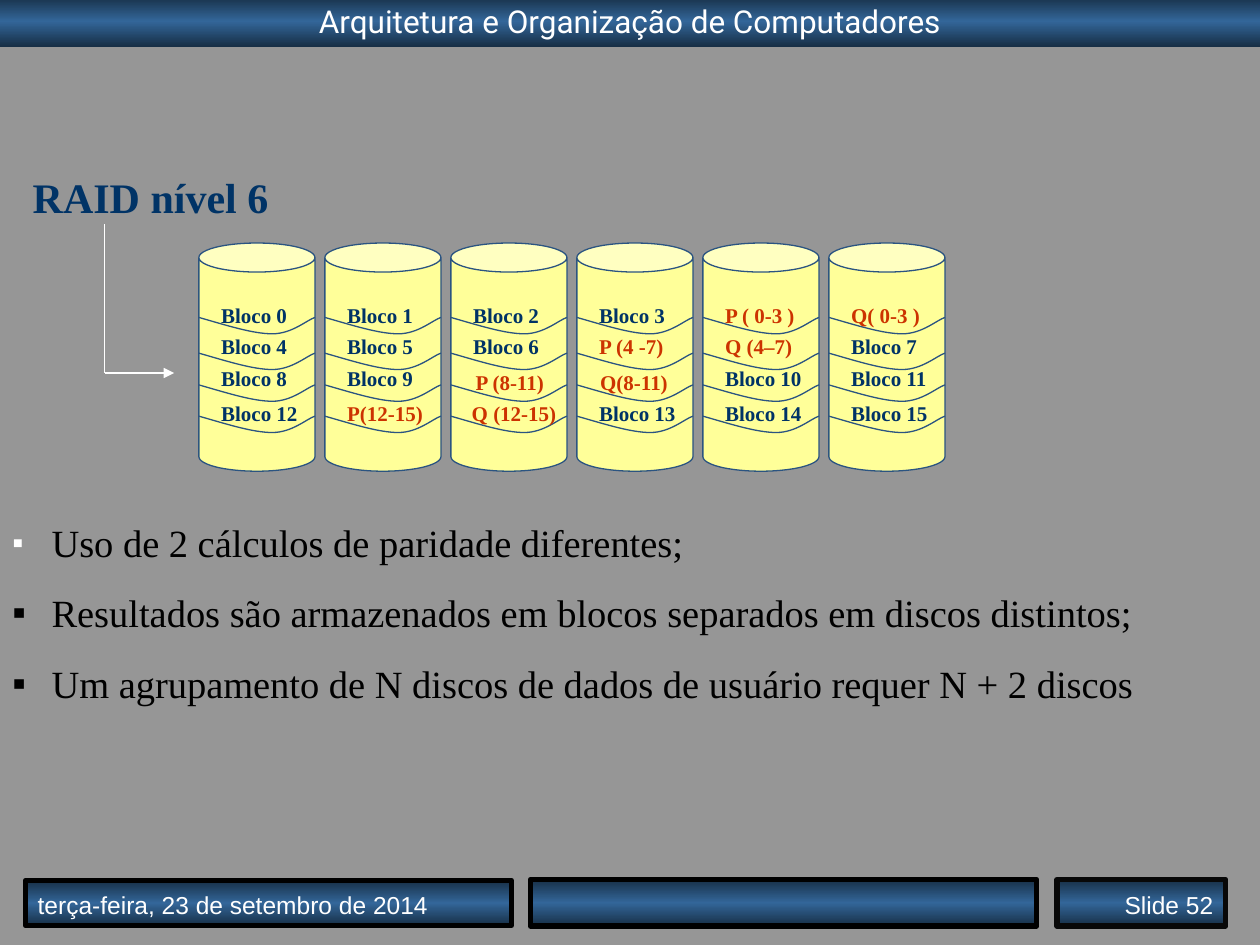
import copy

import pptx
import pptx.dml.color
import pptx.enum.shapes
import pptx.enum.text
import pptx.util
from lxml import etree
from pptx.oxml.ns import qn
from pptx.util import Cm, Pt

COLORS = {
    "background": "969696",
    "bar_edge": "172F46",
    "bar_middle": "336699",
    "black": "000000",
    "slide_number_border": "080808",
    "white": "FFFFFF",
    "disk": "FFFF99",
    "disk_line": "2B5481",
    "data": "003366",
    "parity": "CC3300",
}
SERIF = "Times New Roman"
ALIGN = pptx.enum.text.PP_ALIGN
ANCHOR = pptx.enum.text.MSO_ANCHOR
SHAPE = pptx.enum.shapes.MSO_SHAPE

DISKS = [
    ["Bloco 0", "Bloco 4", "Bloco 8", "Bloco 12"],
    ["Bloco 1", "Bloco 5", "Bloco 9", "P(12-15)"],
    ["Bloco 2", "Bloco 6", "P (8-11)", "Q (12-15)"],
    ["Bloco 3", "P (4 -7)", "Q(8-11)", "Bloco 13"],
    ["P ( 0-3 )", "Q (4–7)", "Bloco 10", "Bloco 14"],
    ["Q( 0-3 )", "Bloco 7", "Bloco 11", "Bloco 15"],
]
DISK_LEFT, DISK_TOP, DISK_PITCH = 4.01, 4.9, 2.54
DISK_WIDTH, DISK_HEIGHT = 2.34, 4.6
LABEL_TOPS = [5.97, 6.6, 7.24, 7.95]
CURVE_TOPS = [6.4, 7.12, 7.76, 8.39]
# Start, then three points (two controls and an end) for each Bézier segment
CURVE = [(0, 0), (0.56, 0.16), (1.09, 0.33), (1.48, 0.33),
         (1.88, 0.33), (2.18, 0.05), (2.34, 0)]
# Sideways and downward shifts of labels that leave the grid
NUDGES = {"P (8-11)": (0.05, 0.08), "Q(8-11)": (0.02, 0.08), "Q (12-15)": (-0.03, 0)}

BULLETS = [
    ("Uso de 2 cálculos de paridade diferentes;", "white", 82),
    ("Resultados são armazenados em blocos separados em discos distintos;", "black", 100),
    ("Um agrupamento de N discos de dados de usuário requer N + 2 discos", "black", 100),
]


def rgb(name):
    return pptx.dml.color.RGBColor.from_string(COLORS[name])


def set_font(paragraph, name, size, color, bold=False):
    font = paragraph.font
    font.name, font.size, font.bold = name, Pt(size), bold
    font.color.rgb = rgb(color)


def set_line(shape, color, width):
    shape.line.color.rgb = rgb(color)
    shape.line.width = Pt(width)


def add_label(page, text, left, top, width, height, size, color):
    box = page.shapes.add_textbox(Cm(left), Cm(top), Cm(width), Cm(height))
    box.text_frame.word_wrap = True
    paragraph = box.text_frame.paragraphs[0]
    paragraph.text = text
    set_font(paragraph, SERIF, size, color, bold=True)


def add_bar(page, left, top, width, height, text="", border=None, font="Arial",
            size=14, align=ALIGN.LEFT, anchor=ANCHOR.BOTTOM):
    """Add a rectangle whose gradient is dark at the top and bottom edges."""
    bar = page.shapes.add_shape(SHAPE.RECTANGLE, Cm(left), Cm(top), Cm(width), Cm(height))
    bar.shadow.inherit = False
    bar.fill.gradient()
    bar.fill.gradient_angle = 90
    stop_list = bar._element.spPr.find(".//" + qn("a:gsLst"))
    stop_list.insert(1, copy.deepcopy(stop_list[0]))
    for stop, position, color in zip(bar.fill.gradient_stops, (0, 0.5, 1),
                                     ("bar_edge", "bar_middle", "bar_edge")):
        stop.position = position
        stop.color.rgb = rgb(color)
    if border:
        set_line(bar, border, 3)
    else:
        bar.line.fill.background()
    if text:
        bar.text_frame.vertical_anchor = anchor
        paragraph = bar.text_frame.paragraphs[0]
        paragraph.text = text
        paragraph.alignment = align
        set_font(paragraph, font, size, "white")


def add_curve(page, left, top):
    """Add the open wave that closes one block of a disk."""
    points = [(Cm(left + x), Cm(top + y)) for x, y in CURVE]
    builder = page.shapes.build_freeform(*points[0])
    builder.add_line_segments(points[1:], close=False)
    curve = builder.convert_to_shape()
    curve.shadow.inherit = False
    curve.fill.background()
    set_line(curve, "disk_line", 0.75)
    outline = curve._element.spPr.find(".//" + qn("a:path"))
    segments = outline.findall(qn("a:lnTo"))
    for start in range(0, len(segments), 3):
        bezier = etree.SubElement(outline, qn("a:cubicBezTo"))
        for segment in segments[start:start + 3]:
            bezier.append(segment[0])
            outline.remove(segment)


def add_disk(page, left, labels):
    can = page.shapes.add_shape(SHAPE.CAN, Cm(left), Cm(DISK_TOP),
                                Cm(DISK_WIDTH), Cm(DISK_HEIGHT))
    can.adjustments[0] = 0.25
    can.shadow.inherit = False
    can.fill.solid()
    can.fill.fore_color.rgb = rgb("disk")
    set_line(can, "disk_line", 0.75)
    for top in CURVE_TOPS:
        add_curve(page, left, top)
    for text, top in zip(labels, LABEL_TOPS):
        right, down = NUDGES.get(text, (0, 0))
        color = "data" if text.startswith("Bloco") else "parity"
        add_label(page, text, left + 0.2 + right, top + down, DISK_WIDTH, 0.76, 12, color)


def add_line(page, x1, y1, x2, y2, arrow=False):
    line = page.shapes.add_connector(pptx.enum.shapes.MSO_CONNECTOR.STRAIGHT,
                                     Cm(x1), Cm(y1), Cm(x2), Cm(y2))
    set_line(line, "white", 0.75)
    if arrow:
        etree.SubElement(line.line._get_or_add_ln(), qn("a:tailEnd"), type="triangle")
    etree.SubElement(line._element.spPr, qn("a:effectLst"))


def add_bullets(page):
    box = page.shapes.add_textbox(Cm(0), Cm(10.34), Cm(24.89), Cm(4.01))
    frame = box.text_frame
    frame.word_wrap = True
    for index, (text, color, percent) in enumerate(BULLETS):
        paragraph = frame.add_paragraph() if index else frame.paragraphs[0]
        paragraph.text = text
        if index:
            paragraph.space_before = Pt(13.8)
        properties = paragraph._p.get_or_add_pPr()
        properties.set("marL", str(Cm(0.79)))
        properties.set("indent", str(-Cm(0.79)))
        bullet_color = etree.SubElement(properties, qn("a:buClr"))
        etree.SubElement(bullet_color, qn("a:srgbClr"), val=COLORS[color])
        etree.SubElement(properties, qn("a:buSzPct"), val=str(percent * 1000))
        etree.SubElement(properties, qn("a:buFont"), typeface="Arial")
        etree.SubElement(properties, qn("a:buChar"), char="▪")
        set_font(paragraph, SERIF, 22, "black")


def main():
    deck = pptx.Presentation()
    deck.slide_width, deck.slide_height = Cm(25.4), Cm(19.05)
    page = deck.slides.add_slide(deck.slide_layouts[6])
    page.background.fill.solid()
    page.background.fill.fore_color.rgb = rgb("background")

    add_bar(page, 0, -0.08, 25.4, 1.02, "Arquitetura e Organização de Computadores",
            font="Roboto", size=18, align=ALIGN.CENTER, anchor=ANCHOR.TOP)
    add_bar(page, 0.51, 17.75, 9.8, 0.91, "terça-feira, 23 de setembro de 2014", "black")
    add_bar(page, 10.69, 17.73, 10.21, 0.94, border="black")
    add_bar(page, 21.31, 17.73, 3.4, 0.94, "Slide 52", "slide_number_border",
            align=ALIGN.RIGHT)

    add_label(page, "RAID nível 6", 0.41, 3.33, 5.6, 1.27, 24, "data")
    add_line(page, 2.11, 4.52, 2.11, 7.52)
    add_line(page, 2.11, 7.52, 3.51, 7.52, arrow=True)
    for column, labels in enumerate(DISKS):
        add_disk(page, DISK_LEFT + column * DISK_PITCH, labels)
    add_bullets(page)
    deck.save("out.pptx")


if __name__ == "__main__":
    main()
